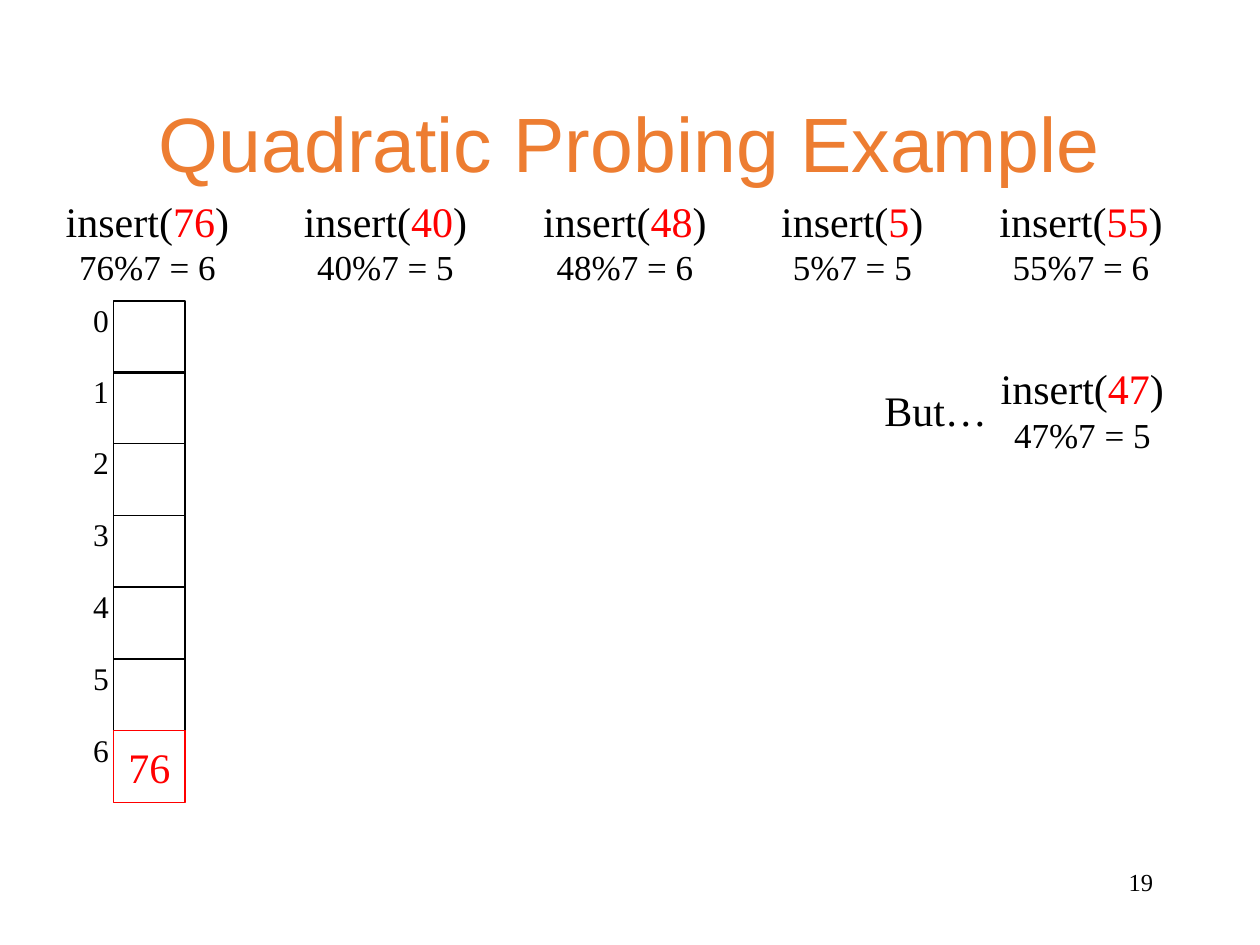
from dataclasses import dataclass

import pptx
import pptx.dml.color
import pptx.enum.shapes
import pptx.enum.text
import pptx.util

PX = 9144  # EMU per px, 100 px to the inch
RGBColor = pptx.dml.color.RGBColor
BLACK = RGBColor(0x00, 0x00, 0x00)
RED = RGBColor(0xFF, 0x00, 0x00)
ORANGE = RGBColor(0xED, 0x7D, 0x31)
SERIF = "Times New Roman"
Align = pptx.enum.text.PP_ALIGN
AutoSize = pptx.enum.text.MSO_AUTO_SIZE
Anchor = pptx.enum.text.MSO_ANCHOR

TABLE_SIZE = 7
CELL_LEFT, CELL_TOP, CELL = 90, 239, 57
LAST_CELL_OFFSET = 341
LABEL_LEFT, LABEL_RISE = 64, 5


@dataclass(frozen=True)
class Insert:
    key: int
    left: int
    top: int = 150
    width: int = 150


INSERTS = [
    Insert(76, 42),
    Insert(40, 231),
    Insert(48, 421),
    Insert(5, 610, width=133),
    Insert(55, 783),
    Insert(47, 784, top=283),
]
STORED = {6: 76}


def box(*px: int) -> list[pptx.util.Emu]:
    return [pptx.util.Emu(v * PX) for v in px]


def style(p, size: int, color: RGBColor = BLACK, align=Align.LEFT, font: str = SERIF) -> None:
    p.alignment = align
    p.font.name = font
    p.font.size = pptx.util.Pt(size)
    p.font.color.rgb = color


def add_text(slide, left: int, top: int, width: int, height: int, text: str, size: int,
             align=Align.LEFT, auto_size=AutoSize.SHAPE_TO_FIT_TEXT):
    tf = slide.shapes.add_textbox(*box(left, top, width, height)).text_frame
    tf.word_wrap = True
    tf.auto_size = auto_size
    tf.text = text
    style(tf.paragraphs[0], size, align=align)
    return tf


def add_insert(slide, item: Insert) -> None:
    """Write the insert call with its key in red, and the hash below it."""
    tf = add_text(slide, item.left, item.top, item.width, 83, "insert(", 24, Align.CENTER)
    p = tf.paragraphs[0]
    r = p.add_run()
    r.text = str(item.key)
    r.font.color.rgb = RED
    p.add_run().text = ")"
    p = tf.add_paragraph()
    p.text = f"{item.key}%{TABLE_SIZE} = {item.key % TABLE_SIZE}"
    style(p, 20, align=Align.CENTER)


def add_cell(slide, index: int) -> None:
    """Draw one slot of the hash table and its index."""
    top = CELL_TOP + LAST_CELL_OFFSET * index // (TABLE_SIZE - 1)
    color = RED if index in STORED else BLACK
    sp = slide.shapes.add_shape(pptx.enum.shapes.MSO_SHAPE.RECTANGLE,
                                *box(CELL_LEFT, top, CELL, CELL))
    sp.shadow.inherit = False
    sp.fill.background()
    sp.line.color.rgb = color
    sp.line.width = pptx.util.Pt(0.75)
    if index in STORED:
        tf = sp.text_frame
        tf.vertical_anchor = Anchor.MIDDLE
        tf.text = str(STORED[index])
        style(tf.paragraphs[0], 24, color, Align.CENTER)
    add_text(slide, LABEL_LEFT, top - LABEL_RISE, 33, 40, str(index), 18)


def main() -> None:
    prs = pptx.Presentation()
    prs.slide_width, prs.slide_height = box(1000, 750)
    slide = prs.slides.add_slide(prs.slide_layouts[5])

    title = slide.shapes.title
    title.left, title.top, title.width, title.height = box(69, 40, 862, 145)
    tf = title.text_frame
    tf.text = "Quadratic Probing Example"
    tf.vertical_anchor = Anchor.MIDDLE
    tf.auto_size = AutoSize.NONE
    style(tf.paragraphs[0], 44, ORANGE, Align.CENTER, "Arial")

    add_text(slide, 717, 683, 208, 50, "19", 14, Align.RIGHT, AutoSize.NONE)
    for index in range(TABLE_SIZE):
        add_cell(slide, index)
    for item in INSERTS:
        add_insert(slide, item)
    add_text(slide, 692, 300, 102, 50, "But…", 24)
    prs.save("out.pptx")


if __name__ == "__main__":
    main()
